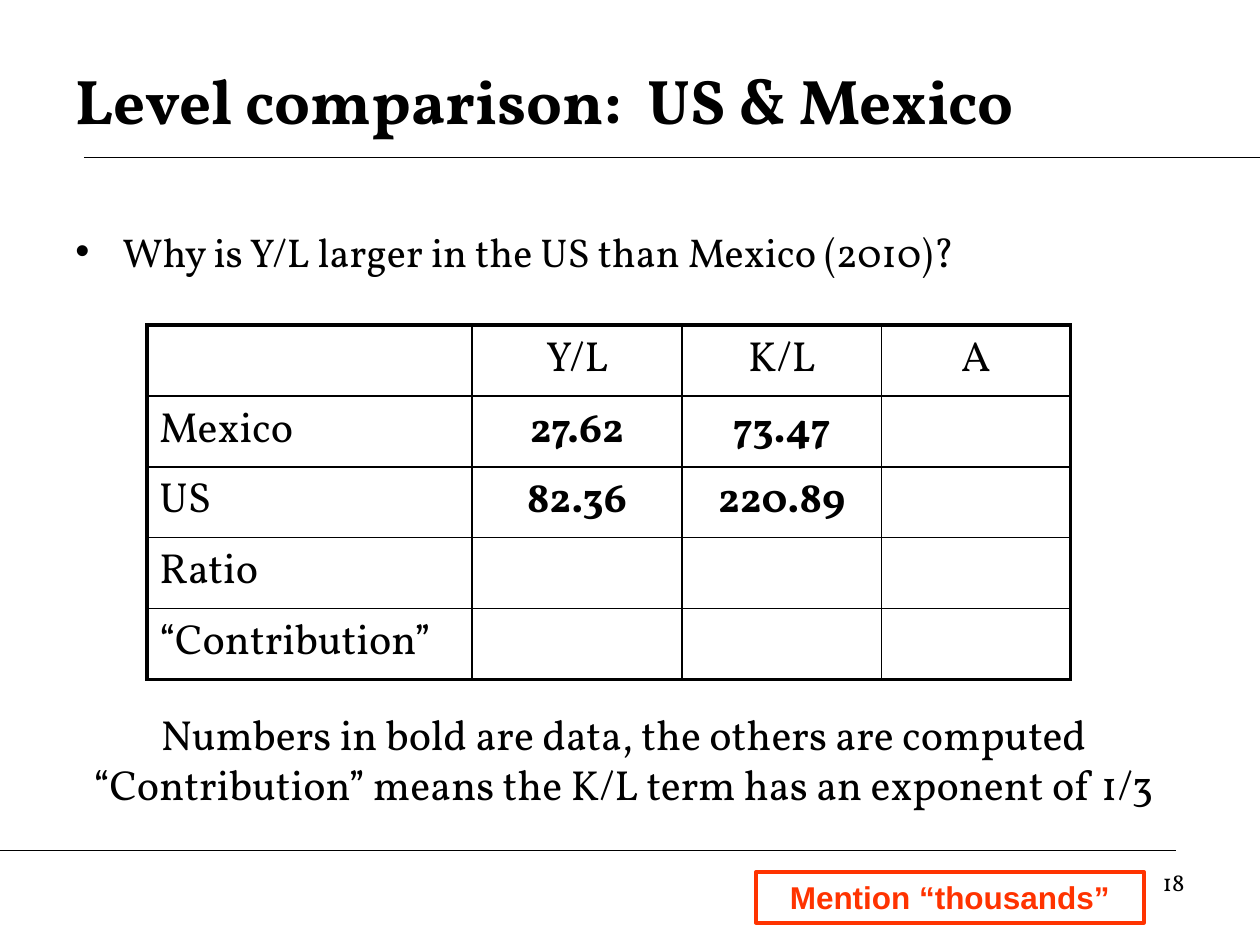
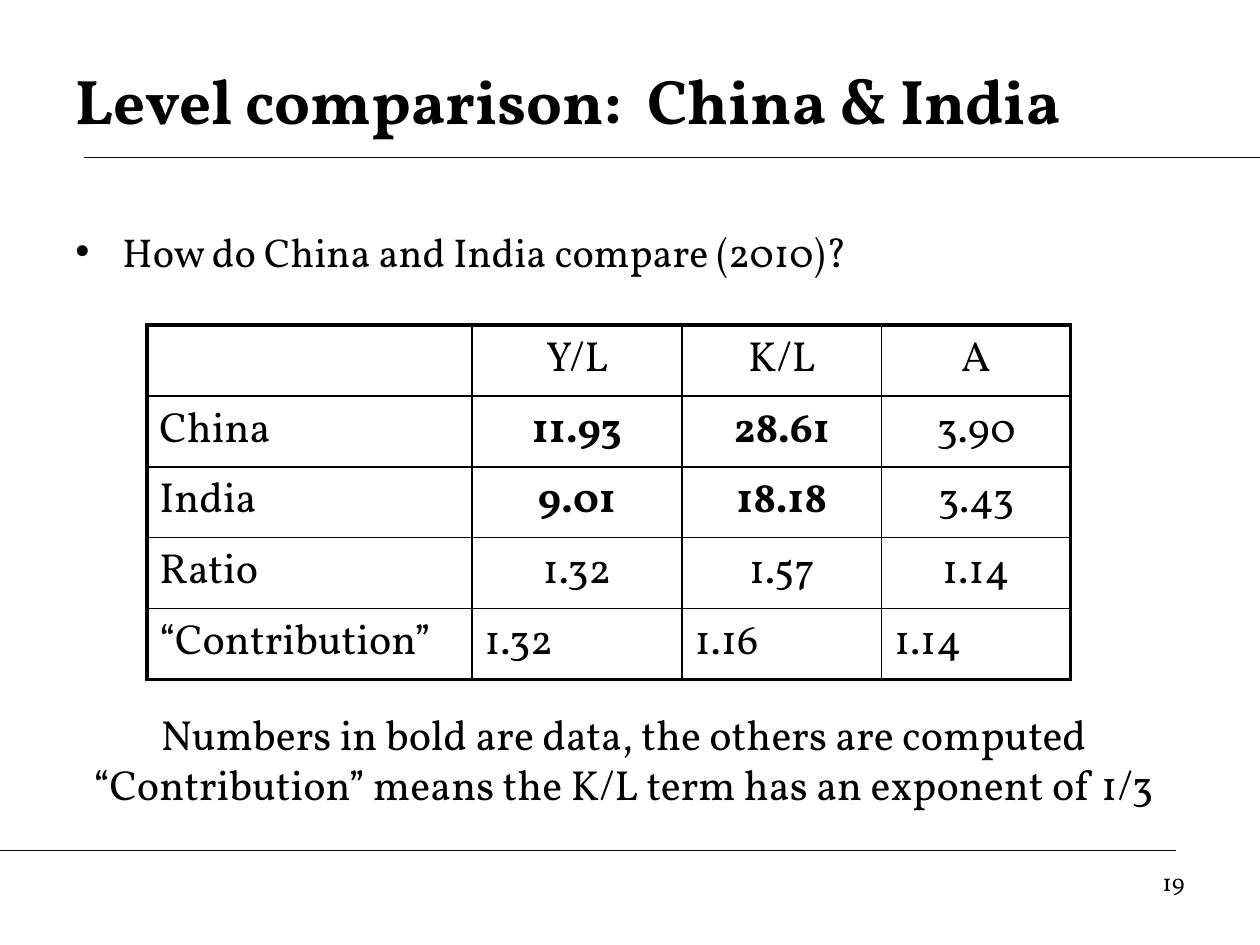
from lxml.etree import SubElement
from pptx import Presentation
from pptx.dml.color import RGBColor
from pptx.enum.shapes import MSO_CONNECTOR, MSO_SHAPE
from pptx.enum.text import MSO_ANCHOR, MSO_AUTO_SIZE, PP_ALIGN
from pptx.oxml.ns import qn
from pptx.util import Cm, Pt

COLORS = {"ink": "000000", "alert": "FF3300"}
SERIF = "Vollkorn"
SANS = "Arial"

COLUMN_WIDTHS = [6.55, 4.24, 4.02, 3.81]
ROW_HEIGHT = 1.43
HEADINGS = ["", "Y/L", "K/L", "A"]
NOTES = [
    "Numbers in bold are data, the others are computed",
    "“Contribution” means the K/L term has an exponent of 1/3",
]


def color(name):
    return RGBColor.from_string(COLORS[name])


def format_runs(para, size, bold=False, font=SERIF, ink="ink"):
    for span in para.runs:
        span.font.name = font
        span.font.size = Pt(size)
        span.font.bold = bold
        span.font.color.rgb = color(ink)


def add_rule(page, left, right, y):
    rule = page.shapes.add_connector(
        MSO_CONNECTOR.STRAIGHT, Cm(left), Cm(y), Cm(right), Cm(y))
    rule.line.color.rgb = color("ink")
    rule.line.width = Pt(0.75)
    SubElement(rule._element.spPr, qn("a:effectLst"))


def add_text(page, place, lines, size, align=PP_ALIGN.LEFT):
    box = page.shapes.add_textbox(*[Cm(length) for length in place])
    frame = box.text_frame
    frame.word_wrap = True
    frame.text = "\n".join(lines)
    for para in frame.paragraphs:
        para.alignment = align
        format_runs(para, size)
    return box


def add_bullet(para, indent):
    properties = para._p.get_or_add_pPr()
    properties.set("marL", str(Cm(indent)))
    properties.set("indent", str(-Cm(indent)))
    SubElement(properties, qn("a:buFont"), typeface=SANS)
    SubElement(properties, qn("a:buChar"), char="•")


def set_title(page, text):
    title = page.shapes.title
    title.left, title.top = Cm(1.27), Cm(0.84)
    title.width, title.height = Cm(22.86), Cm(2.34)
    frame = title.text_frame
    frame.text = text
    frame.auto_size = MSO_AUTO_SIZE.NONE
    frame.vertical_anchor = MSO_ANCHOR.MIDDLE
    para = frame.paragraphs[0]
    para.alignment = PP_ALIGN.LEFT
    format_runs(para, 36, bold=True)


def set_borders(cell, outer_sides):
    """Draw thick lines on the outer sides of the table, thin ones inside."""
    properties = cell._tc.get_or_add_tcPr()
    for side in "LRTB":
        width = Pt(2.25 if side in outer_sides else 1)
        line = SubElement(properties, qn(f"a:ln{side}"), w=str(width))
        fill = SubElement(line, qn("a:solidFill"))
        SubElement(fill, qn("a:srgbClr"), val=COLORS["ink"])


def add_comparison_table(page, body_rows):
    rows = [HEADINGS] + body_rows
    last_row, last_column = len(rows) - 1, len(HEADINGS) - 1
    table = page.shapes.add_table(
        len(rows), len(HEADINGS), Cm(2.96), Cm(6.55),
        Cm(sum(COLUMN_WIDTHS)), Cm(ROW_HEIGHT * len(rows))).table
    table.first_row = table.horz_banding = False
    for column, width in zip(table.columns, COLUMN_WIDTHS):
        column.width = Cm(width)

    for r, values in enumerate(rows):
        table.rows[r].height = Cm(ROW_HEIGHT)
        for c, value in enumerate(values):
            cell = table.cell(r, c)
            edges = {"L": c == 0, "R": c == last_column,
                     "T": r == 0, "B": r == last_row}
            set_borders(cell, [side for side, outer in edges.items() if outer])
            cell.fill.background()
            cell.vertical_anchor = MSO_ANCHOR.MIDDLE
            cell.text = value
            para = cell.text_frame.paragraphs[0]
            if c > 0 and r < last_row:
                para.alignment = PP_ALIGN.CENTER
            # The Y/L and K/L figures of the two countries are data
            format_runs(para, 24, bold=r in (1, 2) and c in (1, 2))


def add_reminder(page, text):
    box = page.shapes.add_shape(
        MSO_SHAPE.RECTANGLE, Cm(15.24), Cm(17.58), Cm(7.82), Cm(1.02))
    box.shadow.inherit = False
    box.fill.background()
    box.line.color.rgb = color("alert")
    box.line.width = Pt(2.25)
    box.text_frame.text = text
    para = box.text_frame.paragraphs[0]
    para.alignment = PP_ALIGN.CENTER
    format_runs(para, 18, bold=True, font=SANS, ink="alert")


def add_comparison_page(deck, number, title, question, body_rows):
    page = deck.slides.add_slide(deck.slide_layouts.get_by_name("Title Only"))

    # Rules, title and page number
    add_rule(page, 1.69, 25.4, 3.17)
    add_rule(page, 0, 23.71, 17.14)
    set_title(page, title)
    add_text(page, (18.2, 17.36, 5.93, 1.32), [str(number)], 14, PP_ALIGN.RIGHT)

    # Question, table and notes
    box = add_text(page, (1.27, 4.45, 22.86, 1.69), [question], 23)
    add_bullet(box.text_frame.paragraphs[0], 0.95)
    add_comparison_table(page, body_rows)
    add_text(page, (1.04, 14.15, 23.06, 2.26), NOTES, 24, PP_ALIGN.CENTER)
    return page


def main():
    deck = Presentation()
    deck.slide_width, deck.slide_height = Cm(25.4), Cm(19.05)

    # United States and Mexico
    page = add_comparison_page(
        deck, 18, "Level comparison:  US & Mexico",
        "Why is Y/L larger in the US than Mexico (2010)?",
        [["Mexico", "27.62", "73.47", ""],
         ["US", "82.36", "220.89", ""],
         ["Ratio", "", "", ""],
         ["“Contribution”", "", "", ""]])
    add_reminder(page, "Mention “thousands”")

    # China and India
    add_comparison_page(
        deck, 19, "Level comparison:  China & India",
        "How do China and India compare (2010)?",
        [["China", "11.93", "28.61", "3.90"],
         ["India", "9.01", "18.18", "3.43"],
         ["Ratio", "1.32", "1.57", "1.14"],
         ["“Contribution”", "1.32", "1.16", "1.14"]])

    deck.save("out.pptx")


if __name__ == "__main__":
    main()
